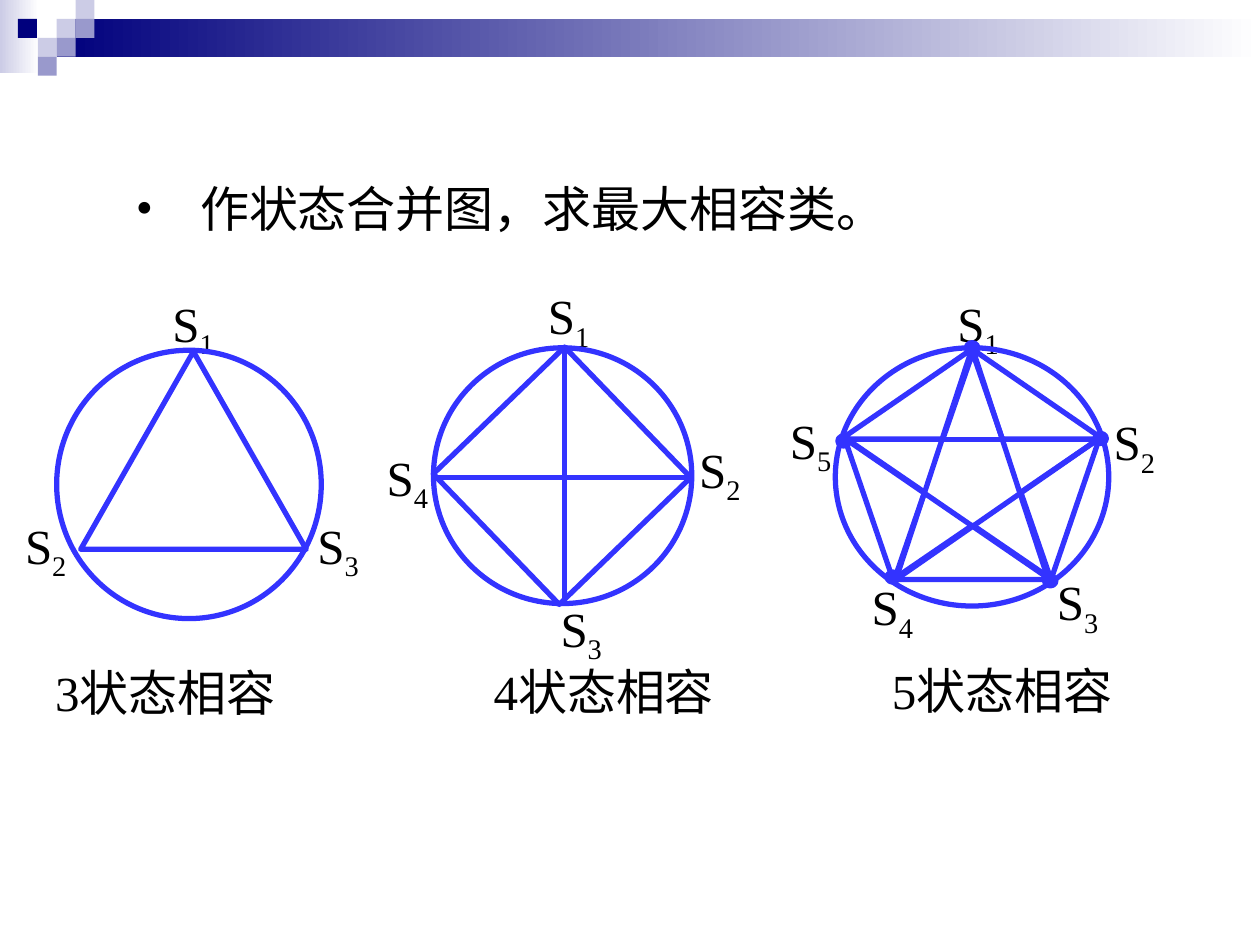
from pptx import Presentation
from pptx.util import Inches, Pt
from pptx.dml.color import RGBColor
from pptx.enum.shapes import MSO_SHAPE as Shape, MSO_CONNECTOR as Conn
from pptx.enum.text import MSO_AUTO_SIZE as Fit
from pptx.oxml.ns import qn
from lxml.etree import SubElement as Sub

HUES = {"navy": "00007D", "mid": "9999CC", "pale": "CCCCE6",
        "white": "FFFFFF", "blue": "3333FF", "black": "000000"}
FONT = "Times New Roman"


def hue(name):
    """Return the named colour."""
    return RGBColor.from_string(HUES[name])


def place(slide, kind, box, fill=None, line=None, turn=0):
    """Add a preset shape with a plain fill and line."""
    shape = slide.shapes.add_shape(kind, *map(Inches, box))
    shape.shadow.inherit = False
    shape.rotation = turn
    if fill:
        shape.fill.solid()
        shape.fill.fore_color.rgb = hue(fill)
    else:
        shape.fill.background()
    if line:
        shape.line.color.rgb = hue(line)
        shape.line.width = Pt(3)
    else:
        shape.line.fill.background()
    return shape


def fade(slide, box, start):
    """Add a bar that fades from a colour to white."""
    fill = place(slide, Shape.RECTANGLE, box).fill
    fill.gradient()
    fill.gradient_angle = 0
    for stop, name in zip(fill.gradient_stops, (start, "white")):
        stop.color.rgb = hue(name)


def join(slide, x1, y1, x2, y2):
    """Add a straight blue line."""
    line = slide.shapes.add_connector(
        Conn.STRAIGHT, *map(Inches, (x1, y1, x2, y2)))
    line.line.color.rgb = hue("blue")
    line.line.width = Pt(3)
    Sub(line._element.spPr, qn("a:effectLst"))


def write(slide, box, text, sub="", wrap=True):
    """Add a text box with an optional subscript and return its paragraph."""
    frame = slide.shapes.add_textbox(*map(Inches, box)).text_frame
    frame.word_wrap = wrap
    frame.auto_size = Fit.SHAPE_TO_FIT_TEXT
    para = frame.paragraphs[0]
    for part in filter(None, (text, sub)):
        run = para.add_run()
        run.text = part
        run.font.size = Pt(28)
        run.font.name = FONT
        run.font.color.rgb = hue("black")
    if sub:
        run.font._element.set("baseline", "-25000")
    return para


def banner(slide, left, top, width):
    """Draw the fading bar and its mosaic of squares."""
    size = 0.15
    fade(slide, (left, top, 0.31, 0.58), "pale")
    fade(slide, (left + 0.45, top + size, width - 0.45, 2 * size), "navy")
    tiles = [(3, 1, "pale"), (4, 0, "pale"), (4, 1, "mid"), (2, 2, "pale"),
             (0.95, 1, "navy"), (3, 2, "mid"), (2, 3, "mid")]
    for col, row, name in tiles:
        box = (left + col * size, top + row * size, size, size)
        place(slide, Shape.RECTANGLE, box, name)


def title(slide, box):
    """Write the bulleted heading."""
    para = write(slide, box, "作状态合并图，求最大相容类。")
    para.line_spacing = 1.3
    props = para._p.get_or_add_pPr()
    props.set("marL", str(Inches(0.51)))
    props.set("indent", str(-Inches(0.51)))
    Sub(props, qn("a:buFont")).set("typeface", FONT)
    Sub(props, qn("a:buChar")).set("char", "•")


def graph(slide, box, turn, names, forms, lines, dots, note):
    """Draw one merge graph: circle, forms, lines, dots, names and caption."""
    left, top = box[:2]
    for num, (x, y) in enumerate(names, 1):
        write(slide, (left + x, top + y, 0.55, 0.57), "S", str(num), False)
    place(slide, Shape.OVAL, box, line="blue", turn=turn)
    for kind, x, y, wide, high, spin in forms:
        place(slide, kind, (left + x, top + y, wide, high),
              line="blue", turn=spin)
    for x1, y1, x2, y2 in lines:
        join(slide, left + x1, top + y1, left + x2, top + y2)
    for x, y in dots:
        place(slide, Shape.OVAL, (left + x, top + y, 0.09, 0.08),
              "blue", "blue")
    x, y, wide = note
    write(slide, (left + x, top + y, wide, 0.57), f"{len(names)}状态相容")


def main():
    """Build and save the slide."""
    deck = Presentation()
    deck.slide_width, deck.slide_height = Inches(10), Inches(7.5)
    slide = deck.slides.add_slide(deck.slide_layouts[6])
    banner(slide, 0, 0, 10)
    title(slide, (0.98, 1.23, 7.82, 0.71))
    graph(slide, (0.45, 2.78, 2.1, 2.13), 0,
          names=[(0.82, -0.5), (-0.35, 1.26), (1.97, 1.26)],
          forms=[(Shape.ISOSCELES_TRIANGLE, 0.19, 0.01, 1.79, 1.57, 0)],
          lines=[], dots=[], note=(-0.11, 2.43, 2.36))
    graph(slide, (3.45, 2.75, 2.03, 2.05), 270,
          names=[(0.8, -0.53), (2, 0.69), (0.9, 1.95), (-0.48, 0.75)],
          forms=[(Shape.RECTANGLE, 0.29, 0.3, 1.44, 1.45, 226)],
          lines=[(-0.01, 1.04, 2.04, 1.04), (1.03, 0.01, 1.03, 2.02)],
          dots=[], note=(0.37, 2.45, 1.95))
    graph(slide, (6.63, 2.76, 2.17, 2.05), 0,
          names=[(0.87, -0.48), (2.11, 0.46), (1.66, 1.73),
                 (0.19, 1.77), (-0.46, 0.45)],
          forms=[(Shape.REGULAR_PENTAGON, 0.07, 0.01, 2.03, 1.83, 0),
                 (Shape.STAR_5_POINT, 0.09, 0.04, 2, 1.79, 0)],
          lines=[(0.06, 0.71, 1.72, 1.85), (0.06, 0.73, 2.11, 0.73),
                 (1.09, -0.01, 0.48, 1.84), (1.09, 0.01, 1.69, 1.84),
                 (0.48, 1.84, 2.11, 0.71)],
          dots=[(1.04, -0.04), (2.06, 0.68), (1.66, 1.81),
                (0.41, 1.78), (0.02, 0.7)],
          note=(0.35, 2.43, 1.95))
    deck.save("out.pptx")


if __name__ == "__main__":
    main()
